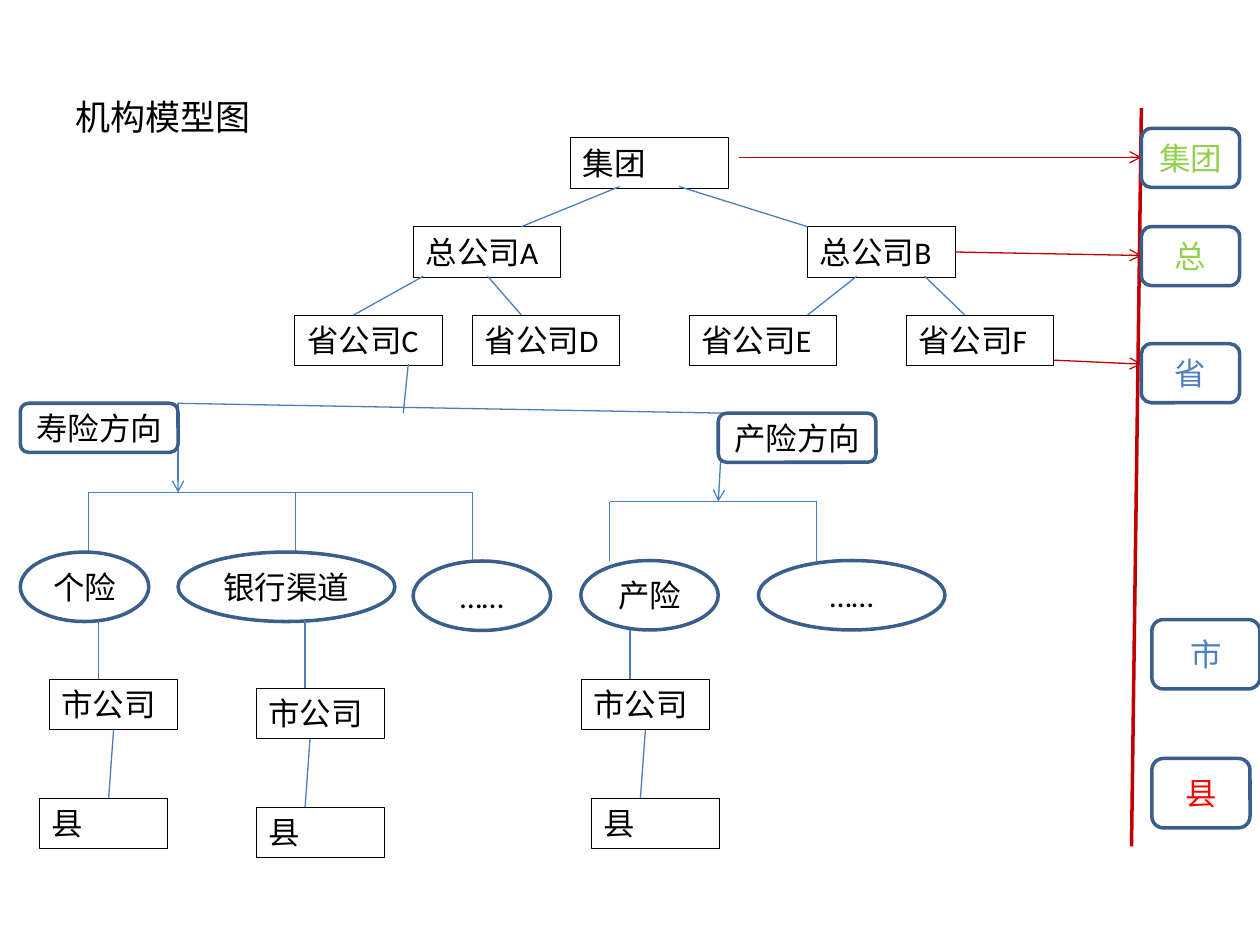
from lxml import etree
from pptx import Presentation
from pptx.dml.color import RGBColor
from pptx.enum.shapes import MSO_CONNECTOR, MSO_SHAPE as Shape
from pptx.enum.text import MSO_ANCHOR as Anchor, MSO_AUTO_SIZE as AutoSize, PP_ALIGN as Align
from pptx.oxml.ns import qn
from pptx.util import Cm, Pt

BLACK = RGBColor(0x00, 0x00, 0x00)
WHITE = RGBColor(0xFF, 0xFF, 0xFF)
LINK_BLUE = RGBColor(0x4B, 0x7E, 0xBC)
BORDER_BLUE = RGBColor(0x3A, 0x5F, 0x8C)
TEXT_BLUE = RGBColor(0x4F, 0x81, 0xBD)
GREEN = RGBColor(0x92, 0xD0, 0x50)
RED = RGBColor(0xFF, 0x00, 0x00)
DARK_RED = RGBColor(0xC0, 0x00, 0x00)

FONT = "Calibri"
UNIT_H = 1.02
COMPANY_W = 2.97
OFFICE_W = 2.59
CHANNEL_H = 1.4


def write(frame, words, align, size=18, color=BLACK):
    frame.text = words
    paragraph = frame.paragraphs[0]
    paragraph.alignment = align
    paragraph.font.name = FONT
    paragraph.font.size = Pt(size)
    paragraph.font.color.rgb = color


def add_unit(slide, left, top, width, words):
    unit = slide.shapes.add_textbox(Cm(left), Cm(top), Cm(width), Cm(UNIT_H))
    unit.line.color.rgb = BLACK
    unit.line.width = Pt(0.25)
    unit.text_frame.word_wrap = True
    unit.text_frame.auto_size = AutoSize.SHAPE_TO_FIT_TEXT
    write(unit.text_frame, words, Align.LEFT)


def add_node(slide, outline, left, top, width, height, words, color=BLACK):
    node = slide.shapes.add_shape(outline, Cm(left), Cm(top), Cm(width), Cm(height))
    node.shadow.inherit = False
    node.fill.solid()
    node.fill.fore_color.rgb = WHITE
    node.line.color.rgb = BORDER_BLUE
    node.line.width = Pt(2)
    node.text_frame.word_wrap = True
    node.text_frame.vertical_anchor = Anchor.MIDDLE
    write(node.text_frame, words, Align.CENTER, color=color)


def add_link(slide, x1, y1, x2, y2, color=LINK_BLUE, width=0.75, arrow=False):
    link = slide.shapes.add_connector(
        MSO_CONNECTOR.STRAIGHT, Cm(x1), Cm(y1), Cm(x2), Cm(y2))
    link.line.color.rgb = color
    link.line.width = Pt(width)
    if arrow:
        etree.SubElement(link.line._get_or_add_ln(), qn("a:tailEnd"), type="arrow")
    etree.SubElement(link._element.spPr, qn("a:effectLst"))


def place_title(slide, left, top, width, height):
    title = slide.shapes.title
    title.left, title.top, title.width, title.height = map(Cm, (left, top, width, height))
    title.text_frame.vertical_anchor = Anchor.MIDDLE
    write(title.text_frame, "机构模型图", Align.LEFT, size=20)


def draw_companies(slide, left, top):
    add_unit(slide, left + 5.56, top, 3.18, "集团")
    for x, letter in ((2.39, "A"), (10.34, "B")):
        add_unit(slide, left + x, top + 1.8, COMPANY_W, f"总公司{letter}")
    for x, letter in ((0, "C"), (3.58, "D"), (7.95, "E"), (12.32, "F")):
        add_unit(slide, left + x, top + 3.58, COMPANY_W, f"省公司{letter}")
    for parent_x, child_x in ((6.55, 4.57), (7.75, 10.34)):
        add_link(slide, left + parent_x, top + 0.99, left + child_x, top + 1.8)
    for parent_x, child_x in ((2.59, 1.19), (3.89, 4.57), (11.33, 10.34), (12.7, 13.51)):
        add_link(slide, left + parent_x, top + 2.8, left + child_x, top + 3.58)


def draw_offices(slide, left, top, stem, county_shift, link_x):
    county_top = top + 2.4
    add_link(slide, left + 0.99, top - stem, left + 0.99, top)
    add_unit(slide, left, top, OFFICE_W, "市公司")
    add_unit(slide, left + county_shift, county_top, OFFICE_W, "县")
    add_link(slide, left + link_x, top + UNIT_H, left + link_x - 0.1, county_top)


def draw_business_line(slide, left, top, name, name_x, arrow_xs, bar_y,
                       channels, offices):
    arrow_start, arrow_end = arrow_xs
    bar = top + bar_y
    add_link(slide, left + arrow_start, top, left + arrow_end, bar, arrow=True)
    add_link(slide, left + channels[0][0], bar, left + channels[-1][0], bar)
    for drop_x, x, y, width, channel in channels:
        add_link(slide, left + drop_x, bar, left + drop_x, top + y)
        add_node(slide, Shape.OVAL, left + x, top + y, width, CHANNEL_H, channel)
    for x, y, stem, county_shift, link_x in offices:
        draw_offices(slide, left + x, top + y, stem, county_shift, link_x)
    add_node(slide, Shape.ROUNDED_RECTANGLE, left + name_x, top, 3.18, 0.99, name)


def draw_business_lines(slide, left, top):
    add_link(slide, left + 3.18, top, left + 14.27, top + 0.2)
    add_link(slide, left + 7.82, top - 0.79, left + 7.72, top + 0.2)
    draw_business_line(
        slide, left, top, "寿险方向", 0, (3.18, 3.18), 1.8,
        channels=((1.37, 0, 3, 2.59, "个险"),
                  (5.54, 3.18, 3, 4.37, "银行渠道"),
                  (9.12, 7.92, 3.18, 2.77, "……")),
        offices=((0.58, 5.56, 1.19, -0.2, 1.3), (4.75, 5.74, 1.37, 0, 1.09)))
    draw_business_line(
        slide, left + 11.3, top + 0.2, "产险方向", 2.77, (2.87, 2.77), 1.78,
        channels=((0.58, 0, 2.97, 2.77, "产险"),
                  (4.75, 3.58, 2.97, 3.76, "……")),
        offices=((0, 5.36, 0.99, 0.2, 1.3),))


def draw_levels(slide, left, top):
    axis_x = left + 0.2
    add_link(slide, axis_x, top, left, top + 14.88, DARK_RED, 2)
    for x, start_y, end_y in ((-7.92, 0.99, 0.99), (-3.56, 2.9, 2.97), (-1.57, 5.08, 5.16)):
        add_link(slide, left + x, top + start_y, axis_x, top + end_y, DARK_RED, arrow=True)
    for x, y, width, height, level, color in (
            (0.2, 0.41, 1.98, 1.19, "集团", GREEN),
            (0.2, 2.39, 1.98, 1.19, "总", GREEN),
            (0.2, 4.75, 1.98, 1.19, "省", TEXT_BLUE),
            (0.41, 10.31, 2.18, 1.4, "市", TEXT_BLUE),
            (0.41, 13.11, 1.98, 1.4, "县", RED)):
        add_node(slide, Shape.ROUNDED_RECTANGLE, left + x, top + y, width, height, level, color)


def main():
    deck = Presentation()
    deck.slide_width, deck.slide_height = Cm(25.4), Cm(19.05)
    slide = deck.slides.add_slide(deck.slide_layouts[5])
    place_title(slide, 1.27, 0.76, 22.86, 3.18)
    draw_companies(slide, 5.94, 2.77)
    draw_business_lines(slide, 0.41, 8.13)
    draw_levels(slide, 22.81, 2.18)
    deck.save("out.pptx")


if __name__ == "__main__":
    main()
